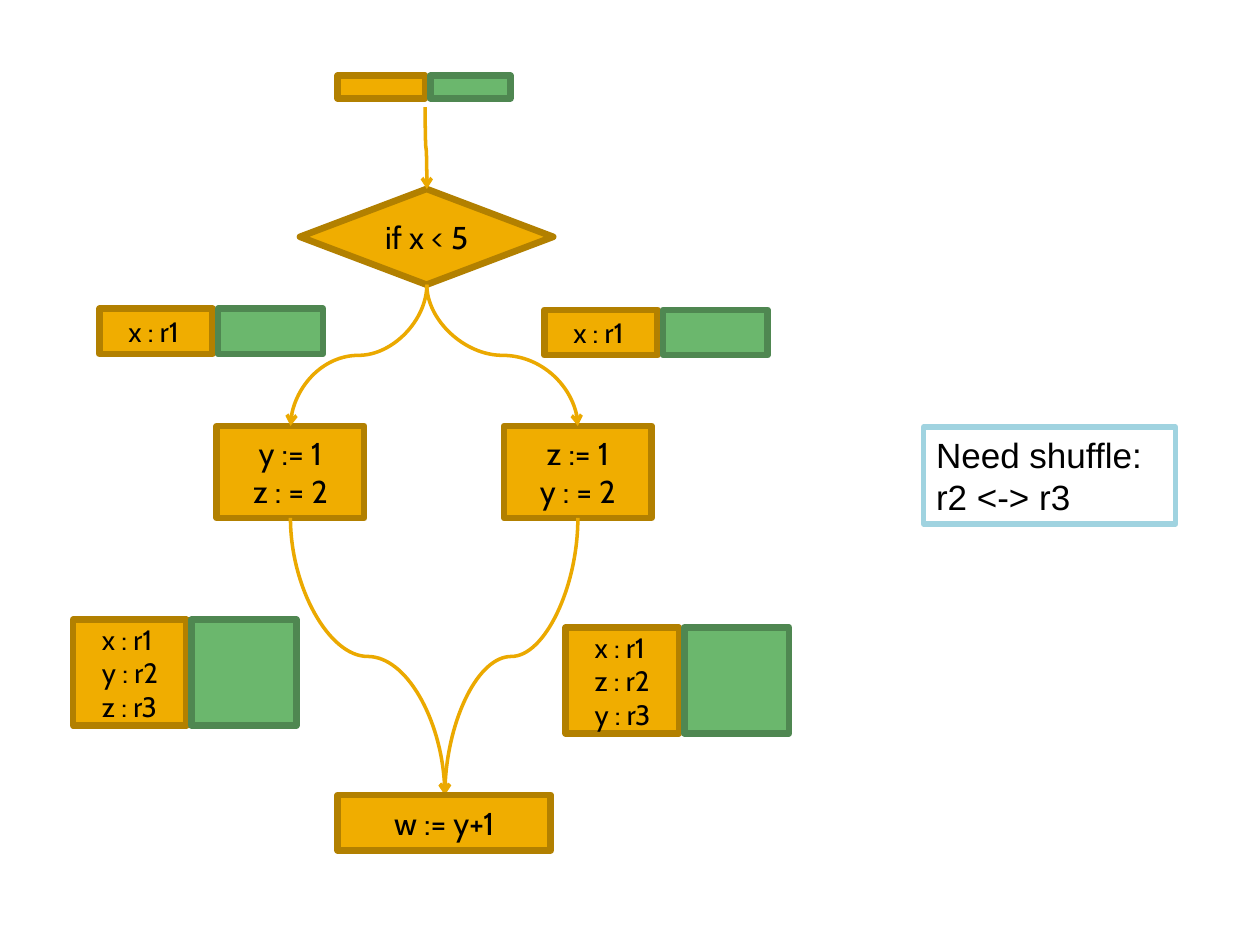
import pptx
import pptx.util
import pptx.dml.color
import pptx.enum.shapes
import pptx.enum.text
import pptx.oxml
import pptx.oxml.ns

Pt = pptx.util.Pt
Kind = pptx.enum.shapes.MSO_SHAPE
Align = pptx.enum.text.PP_ALIGN
Anchor = pptx.enum.text.MSO_ANCHOR
GOLD = ("F0AD00", "B28000")
GREEN = ("6BB76D", "4F8751")


def color(code):
    return pptx.dml.color.RGBColor.from_string(code)


def shape(slide, kind, box, fill, line, width=3.78):
    item = slide.shapes.add_shape(kind, *map(Pt, box))
    item.shadow.inherit = False
    if fill:
        item.fill.solid()
        item.fill.fore_color.rgb = color(fill)
    else:
        item.fill.background()
    item.line.color.rgb = color(line)
    item.line.width = Pt(width)
    return item


def write(item, text, size, font="Cabin", align=Align.CENTER,
          anchor=Anchor.MIDDLE, indent=0):
    frame = item.text_frame
    frame.word_wrap = True
    frame.vertical_anchor = anchor
    frame.text = text
    for para in frame.paragraphs:
        para.alignment = align
        if indent:
            para._p.get_or_add_pPr().set("marL", str(Pt(indent)))
        for run in para.runs:
            run.font.size = Pt(size)
            run.font.name = font
            run.font.color.rgb = color("000000")


def step(slide, kind, box, text):
    write(shape(slide, kind, box, *GOLD), text, 18)


def state(slide, box, text=""):
    left, top, width, height = box
    gap = 3
    part = round(width * 0.507, 1)
    names = shape(slide, Kind.RECTANGLE, (left, top, part, height), *GOLD)
    if text:
        write(names, text, 16, align=Align.LEFT, indent=9.4)
    rest = (left + part + gap, top, width - part - gap, height)
    shape(slide, Kind.RECTANGLE, rest, *GREEN)


def curve(slide, start, end):
    mid_x = (start[0] + end[0]) / 2
    mid_y = (start[1] + end[1]) / 2
    half_w = (end[1] - start[1]) / 2
    half_h = abs(end[0] - start[0]) / 2
    right = end[0] > start[0]
    side = half_w if right else -half_w
    link = slide.shapes.add_connector(
        pptx.enum.shapes.MSO_CONNECTOR.CURVE,
        Pt(mid_x + side), Pt(mid_y - half_h),
        Pt(mid_x - side), Pt(mid_y + half_h))
    turn = 270 if right else 90
    link._element.spPr.xfrm.set("rot", str(turn * 60000))
    link.line.color.rgb = color("EBA900")
    link.line.width = Pt(2)
    space = pptx.oxml.ns.nsdecls("a")
    tip = pptx.oxml.parse_xml(f'<a:tailEnd {space} type="arrow"/>')
    link.line._get_or_add_ln().append(tip)
    link._element.spPr.append(pptx.oxml.parse_xml(f"<a:effectLst {space}/>"))


def flow(slide, box):
    left, top, width, height = box

    def place(x, y, w, h):
        return left + x, top + y, w, h

    def point(x, y):
        return left + x, top + y

    test = point(202.1, 64.8)
    fork = point(202.1, 119.5)
    join = point(212.4, 411.1)
    step(slide, Kind.FLOWCHART_DECISION,
         place(129.6, 64.8, 144.7, 54.7), "if x < 5")
    sides = ((82.1, "y := 1\nz : = 2"), (246.3, "z := 1\ny : = 2"))
    for x, text in sides:
        step(slide, Kind.FLOWCHART_PROCESS, place(x, 200.2, 84.2, 52.6), text)
        curve(slide, fork, point(x + 42.1, 200.2))
        curve(slide, point(x + 42.1, 252.8), join)
    step(slide, Kind.FLOWCHART_PROCESS,
         place(151.2, 411.1, 121.7, 31.7), "w := y+1")

    state(slide, place(151.2, 0, 98.6, 13))
    states = (
        (15.1, 133.2, 25.9, "x : r1"),
        (269.3, 133.9, 25.9, "x : r1"),
        (0, 311, 60.5, "x : r1\ny : r2\nz : r3"),
        (281.5, 315.4, 60.5, "x : r1\nz : r2\ny : r3"),
    )
    for x, y, h, text in states:
        state(slide, place(x, y, 127.6, h), text)
    curve(slide, point(201.1, 18), test)


def note(slide, box):
    item = shape(slide, Kind.FLOWCHART_PROCESS, box, None, "A0D3E0", 3)
    write(item, "Need shuffle:\nr2 <-> r3", 20, "Arial", Align.LEFT, Anchor.TOP)


def main():
    deck = pptx.Presentation()
    deck.slide_width = Pt(720)
    deck.slide_height = Pt(540)
    slide = deck.slides.add_slide(deck.slide_layouts[6])
    flow(slide, (41.8, 43.2, 409.1, 442.8))
    note(slide, (527.8, 244.1, 144, 55.4))
    deck.save("out.pptx")


if __name__ == "__main__":
    main()
